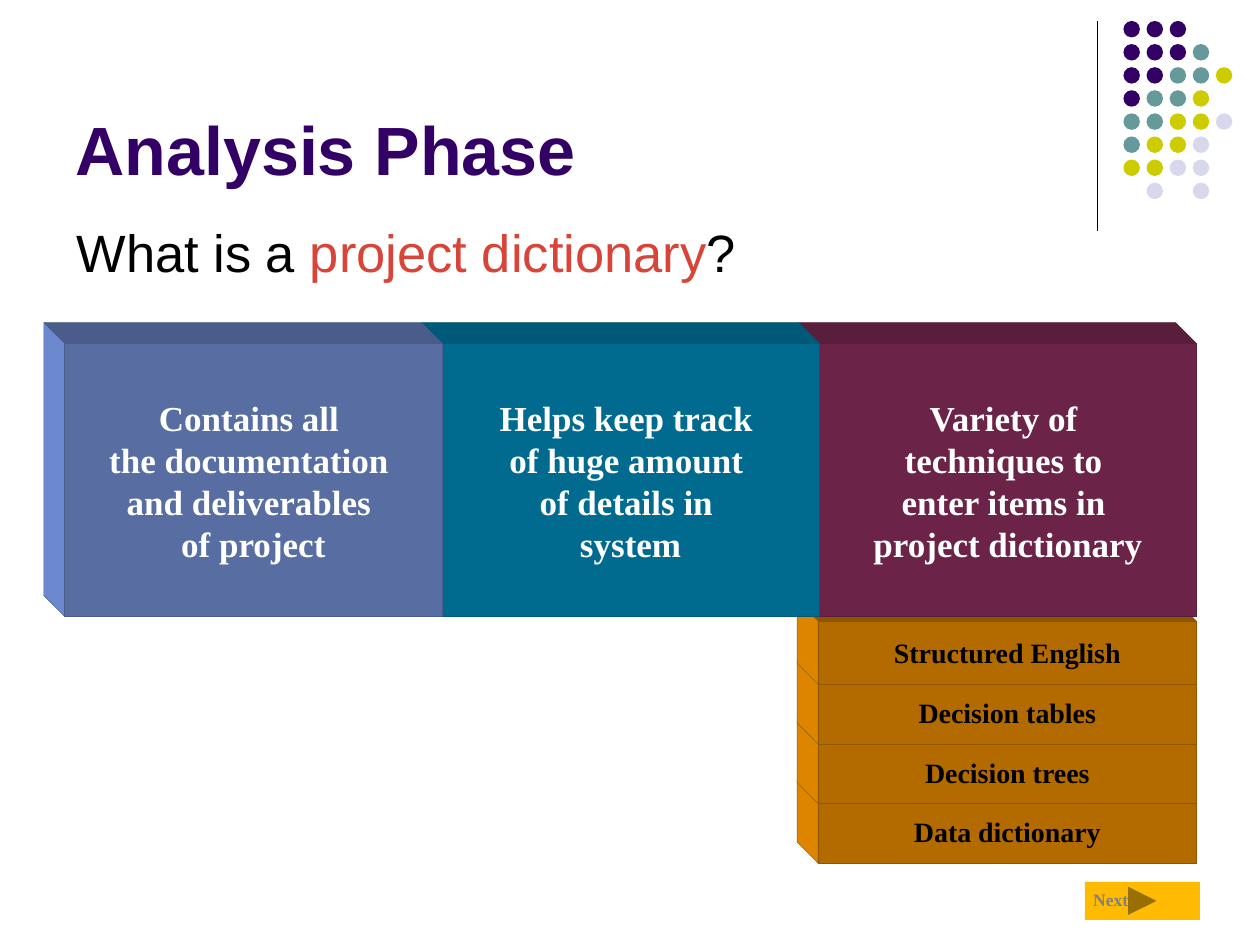
from lxml import etree
from pptx import Presentation
from pptx import util as u
from pptx.dml.color import RGBColor
from pptx.enum import shapes, text
from pptx.oxml import ns

SERIF, SANS = "Times New Roman", "Arial"
SHAPE = shapes.MSO_SHAPE
CENTER, LEFT = text.PP_ALIGN.CENTER, text.PP_ALIGN.LEFT
TOP, MIDDLE, BOTTOM = (text.MSO_ANCHOR.TOP, text.MSO_ANCHOR.MIDDLE,
                       text.MSO_ANCHOR.BOTTOM)
DEPTH = 12


def color(value):
    return RGBColor.from_string(value)


class Painter:
    def __init__(self, slide):
        self.slide = slide

    def finish(self, shape, fill, line=None):
        shape.shadow.inherit = False
        shape.fill.solid()
        shape.fill.fore_color.rgb = color(fill)
        if line:
            shape.line.color.rgb = color(line)
            shape.line.width = u.Pt(0.25)
        else:
            shape.line.fill.background()
        return shape

    def shape(self, kind, left, top, width, height, fill, line=None):
        shape = self.slide.shapes.add_shape(
            kind, u.Pt(left), u.Pt(top), u.Pt(width), u.Pt(height))
        return self.finish(shape, fill, line)

    def polygon(self, points, fill, line):
        start, *rest = [(u.Pt(x), u.Pt(y)) for x, y in points]
        builder = self.slide.shapes.build_freeform(*start)
        builder.add_line_segments(rest, close=True)
        return self.finish(builder.convert_to_shape(), fill, line)

    def line(self, x1, y1, x2, y2, stroke, width):
        connector = self.slide.shapes.add_connector(
            shapes.MSO_CONNECTOR.STRAIGHT,
            u.Pt(x1), u.Pt(y1), u.Pt(x2), u.Pt(y2))
        connector.line.color.rgb = color(stroke)
        connector.line.width = u.Pt(width)
        etree.SubElement(connector._element.spPr, ns.qn("a:effectLst"))

    def label(self, shape, runs, size, font, bold=False, align=LEFT,
              anchor=TOP, wrap=True):
        """Fill a shape with one paragraph of (words, colour) runs."""
        frame = shape.text_frame
        frame.word_wrap = wrap
        frame.vertical_anchor = anchor
        paragraph = frame.paragraphs[0]
        paragraph.alignment = align
        paragraph.font.size = u.Pt(size)
        paragraph.font.name = font
        paragraph.font.bold = bold
        for words, ink in runs:
            for index, part in enumerate(words.split("\n")):
                if index:
                    paragraph.add_line_break()
                run = paragraph.add_run()
                run.text = part
                run.font.color.rgb = color(ink)

    def text(self, left, top, width, height, runs, size, font, **style):
        shape = self.slide.shapes.add_textbox(
            u.Pt(left), u.Pt(top), u.Pt(width), u.Pt(height))
        self.label(shape, runs, size, font, **style)

    def block(self, left, top, width, height, words, ink, size, front, edge,
              lid=None, side=None, wrap=True):
        """Draw a solid block with its visible lid and left side."""
        right, bottom = left + width, top + height
        if lid:
            self.polygon([(left, top), (left - DEPTH, top - DEPTH),
                          (right - DEPTH, top - DEPTH), (right, top)],
                         lid, edge)
        if side:
            self.polygon([(left, top), (left - DEPTH, top - DEPTH),
                          (left - DEPTH, bottom - DEPTH), (left, bottom)],
                         side, edge)
        face = self.shape(SHAPE.RECTANGLE, left, top, width, height,
                          front, edge)
        self.label(face, [(words, ink)], size, SERIF, bold=True,
                   align=CENTER, anchor=MIDDLE, wrap=wrap)


def main():
    presentation = Presentation()
    presentation.slide_width, presentation.slide_height = u.Pt(720), u.Pt(540)
    slide = presentation.slides.add_slide(presentation.slide_layouts[6])
    painter = Painter(slide)

    # Corner decoration
    painter.line(627, 12, 627, 132, "000000", 0.75)
    dot_colors = {"P": "330066", "T": "669999", "Y": "CCCC00", "L": "D8D8EC"}
    dot_rows = ["PPP", "PPPT", "PPTTY", "PTTY", "TTYYL", "TYYL", "YYLL",
                " L L"]
    for row, codes in enumerate(dot_rows):
        for column, code in enumerate(codes):
            if code in dot_colors:
                painter.shape(SHAPE.OVAL, 642 + 13.2 * column,
                              12 + 13.2 * row, 9.4, 9.4, dot_colors[code])

    # Title and question
    painter.text(36, 9.4, 594, 102, [("Analysis Phase", "330066")], 39, SANS,
                 bold=True, anchor=BOTTOM)
    painter.text(36.7, 122.4, 648, 48,
                 [("What is a ", "000000"), ("project dictionary", "D94439"),
                  ("?", "000000")], 30, SANS)

    # Stack of techniques, lowest first
    techniques = ["Structured English", "Decision tables", "Decision trees",
                  "Data dictionary"]
    for row, name in reversed(list(enumerate(techniques))):
        painter.block(467.5, 355 + 34.1 * row, 216.3, 36, name, "000000", 16,
                      "B36B00", "8F5600", lid=None if row else "8F5600",
                      side="DE8500", wrap=False)

    # Main blocks, rightmost first
    blocks = [
        ("Contains all \nthe documentation \nand deliverables \nof project",
         "586EA3", "4A5C8A", "6C88CE"),
        ("Helps keep track \nof huge amount \nof details in \nsystem",
         "006B8F", "005978", None),
        ("Variety of \ntechniques to \nenter items in \nproject dictionary",
         "6B2447", "591E3C", None),
    ]
    for column, (words, front, lid, side) in reversed(list(enumerate(blocks))):
        painter.block(37 + 215.6 * column, 196.3, 215.6, 156, words, "FFFFFF",
                      20, front, lid, lid=lid, side=side)

    # Next button
    painter.shape(SHAPE.ACTION_BUTTON_FORWARD_OR_NEXT, 620, 504, 65.7, 21.6,
                  "FFBA02")
    painter.text(617.6, 504.7, 36.7, 19.4, [("Next", "808080")], 10, SERIF,
                 bold=True)

    presentation.save("out.pptx")


if __name__ == "__main__":
    main()
